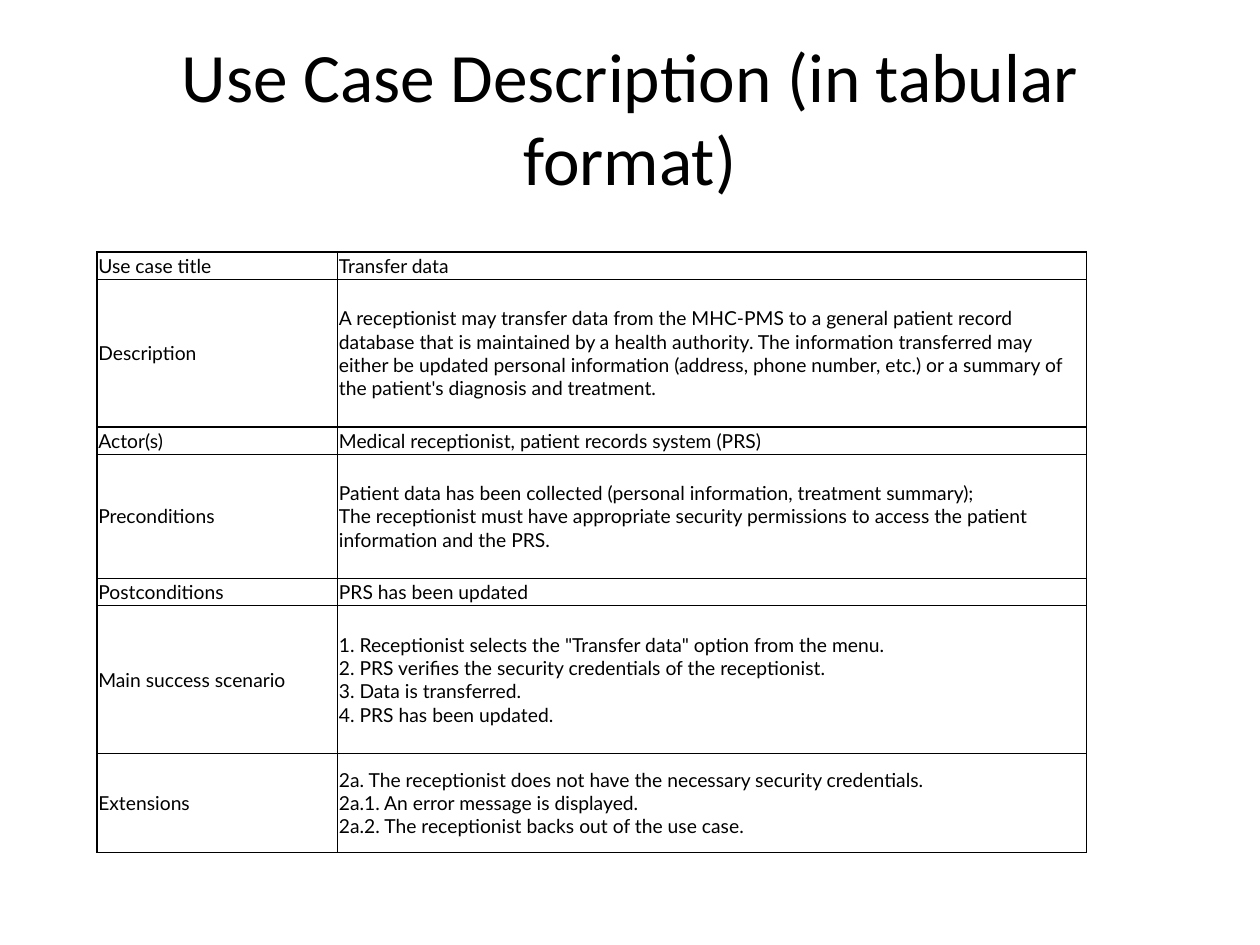
"""Build a slide that describes a use case in a two-column table."""

from dataclasses import dataclass

import pptx
import pptx.dml.color
import pptx.enum.text
import pptx.oxml
import pptx.oxml.ns
import pptx.util

EMU_PER_PX = 9144


@dataclass(frozen=True)
class Theme:
    ink: str = "000000"
    title_font: str = "Calibri"
    title_size: float = 39.6
    table_font: str = "Lato"
    table_size: float = 11
    border_width: float = 0.75
    cell_margin: int = 1


@dataclass(frozen=True)
class UseCaseField:
    label: str
    description: str
    height: int


THEME = Theme()
TITLE = "Use Case Description (in tabular format)"
COLUMN_WIDTHS = (191, 594)
FIELDS = (
    UseCaseField("Use case title", "Transfer data", 22),
    UseCaseField(
        "Description",
        "A receptionist may transfer data from the MHC-PMS to a general patient record "
        "database that is maintained by a health authority. The information transferred may "
        "either be updated personal information (address, phone number, etc.) or a summary of "
        "the patient's diagnosis and treatment.",
        117,
    ),
    UseCaseField("Actor(s)", "Medical receptionist, patient records system (PRS)", 22),
    UseCaseField(
        "Preconditions",
        "Patient data has been collected (personal information, treatment summary);\n"
        "The receptionist must have appropriate security permissions to access the patient "
        "information and the PRS.",
        98,
    ),
    UseCaseField("Postconditions", "PRS has been updated", 22),
    UseCaseField(
        "Main success scenario",
        '1. Receptionist selects the "Transfer data" option from the menu.\n'
        "2. PRS verifies the security credentials of the receptionist.\n"
        "3. Data is transferred.\n"
        "4. PRS has been updated.",
        117,
    ),
    UseCaseField(
        "Extensions",
        "2a. The receptionist does not have the necessary security credentials.\n"
        "2a.1. An error message is displayed.\n"
        "2a.2. The receptionist backs out of the use case.",
        79,
    ),
)


def px(length: int) -> pptx.util.Emu:
    return pptx.util.Emu(length * EMU_PER_PX)


def write_text(text_frame, text: str, font_name: str, size: float, alignment) -> None:
    paragraph = text_frame.paragraphs[0]
    paragraph.text = text
    paragraph.alignment = alignment
    for run in paragraph.runs:
        run.font.name = font_name
        run.font.size = pptx.util.Pt(size)
        run.font.bold = False
        run.font.color.rgb = pptx.dml.color.RGBColor.from_string(THEME.ink)


def add_borders(cell) -> None:
    properties = cell._tc.get_or_add_tcPr()
    width = pptx.util.Pt(THEME.border_width)
    for position, side in enumerate(("lnL", "lnR", "lnT", "lnB")):
        border = pptx.oxml.parse_xml(
            f'<a:{side} {pptx.oxml.ns.nsdecls("a")} w="{width}">'
            f'<a:solidFill><a:srgbClr val="{THEME.ink}"/></a:solidFill></a:{side}>'
        )
        properties.insert(position, border)


def format_cell(cell, text: str) -> None:
    margin = px(THEME.cell_margin)
    cell.margin_left = cell.margin_right = margin
    cell.margin_top = cell.margin_bottom = margin
    cell.vertical_anchor = pptx.enum.text.MSO_ANCHOR.MIDDLE
    cell.fill.background()
    write_text(cell.text_frame, text, THEME.table_font, THEME.table_size,
               pptx.enum.text.PP_ALIGN.LEFT)
    add_borders(cell)


def add_title(slide) -> None:
    title = slide.shapes.title
    title.left, title.top, title.width, title.height = map(px, (50, 30, 900, 125))
    title.text_frame.auto_size = pptx.enum.text.MSO_AUTO_SIZE.NONE
    title.text_frame.vertical_anchor = pptx.enum.text.MSO_ANCHOR.MIDDLE
    write_text(title.text_frame, TITLE, THEME.title_font, THEME.title_size,
               pptx.enum.text.PP_ALIGN.CENTER)


def add_use_case_table(slide) -> None:
    height = sum(field.height for field in FIELDS)
    table = slide.shapes.add_table(
        len(FIELDS), len(COLUMN_WIDTHS), px(77), px(200), px(sum(COLUMN_WIDTHS)), px(height)
    ).table
    table.first_row = table.horz_banding = False
    for column, width in zip(table.columns, COLUMN_WIDTHS):
        column.width = px(width)
    for row, field in zip(table.rows, FIELDS):
        row.height = px(field.height)
        for cell, text in zip(row.cells, (field.label, field.description)):
            format_cell(cell, text)


def main() -> None:
    presentation = pptx.Presentation()
    presentation.slide_width, presentation.slide_height = px(1000), px(750)
    slide = presentation.slides.add_slide(presentation.slide_layouts[5])
    add_title(slide)
    add_use_case_table(slide)
    presentation.save("out.pptx")


if __name__ == "__main__":
    main()
